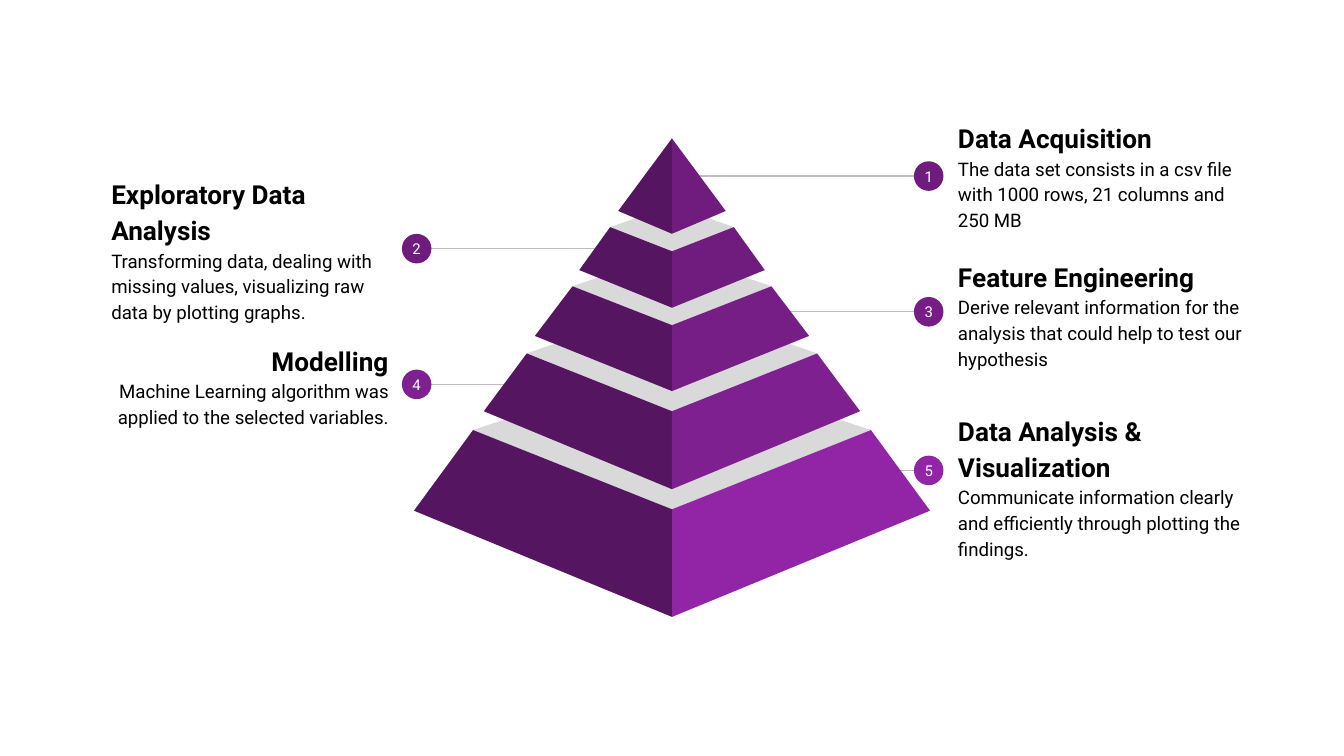
from pptx import Presentation
from pptx.dml.color import RGBColor
from pptx.enum.shapes import MSO_CONNECTOR, MSO_SHAPE
from pptx.enum.text import MSO_ANCHOR, PP_ALIGN
from pptx.oxml.ns import qn
from pptx.util import Inches, Pt
from lxml.etree import SubElement

FONT = "Roboto"
BLACK = RGBColor(0x00, 0x00, 0x00)
WHITE = RGBColor(0xFF, 0xFF, 0xFF)
LINE_GREY = RGBColor(0xBD, 0xBD, 0xBD)
CAP_GREY = RGBColor(0xD9, 0xD9, 0xD9)
DARK_PURPLE = RGBColor(0x55, 0x15, 0x61)
PURPLE_1 = RGBColor(0x70, 0x1C, 0x7F)
PURPLE_3 = RGBColor(0x76, 0x1E, 0x86)
PURPLE_4 = RGBColor(0x7F, 0x20, 0x90)
PURPLE_5 = RGBColor(0x92, 0x25, 0xA5)

CENTRE = 5.0
DOT_SIZE = 0.22
NUMBER_WIDTH, NUMBER_HEIGHT = 0.27, 0.34
TEXT_HEIGHT = 0.82
# dot centre, line end under the dot
LEFT_SIDE = (3.1, 3.04)
RIGHT_SIDE = (6.91, 6.98)

# number, title, description, colour, side, line y, line start, text left, top, width, alignment
STEPS = [
    ("1", "Data Acquisition",
     "The data set consists in a csv file with 1000 rows, 21 columns and 250 MB",
     PURPLE_1, RIGHT_SIDE, 1.31, 5.17, 7.03, 0.89, 2.33, PP_ALIGN.LEFT),
    ("2", "Exploratory Data Analysis",
     "Transforming data, dealing with missing values, visualizing raw data by plotting graphs.",
     PURPLE_1, LEFT_SIDE, 1.85, 4.45, 0.73, 1.44, 2.24, PP_ALIGN.LEFT),
    ("3", "Feature Engineering",
     "Derive relevant information for the analysis that could help to test our hypothesis",
     PURPLE_3, RIGHT_SIDE, 2.32, 5.76, 7.03, 1.92, 2.33, PP_ALIGN.LEFT),
    ("4", "Modelling",
     "Machine Learning algorithm was applied to the selected variables.",
     PURPLE_4, LEFT_SIDE, 2.86, 3.96, 0.66, 2.45, 2.33, PP_ALIGN.RIGHT),
    ("5", "Data Analysis & Visualization",
     "Communicate information clearly and efficiently through plotting the findings.",
     PURPLE_5, RIGHT_SIDE, 3.5, 6.32, 7.03, 3.2, 2.33, PP_ALIGN.LEFT),
]

# colour, cap back y, top half-width, top outer y, top centre y,
# bottom half-width, bottom outer y, bottom centre y
TIERS = [
    (PURPLE_1, 1.03, 0, 1.03, 1.03, 0.4, 1.57, 1.74),
    (PURPLE_1, 1.53, 0.46, 1.69, 1.87, 0.69, 2.01, 2.29),
    (PURPLE_3, 1.88, 0.74, 2.13, 2.42, 1.02, 2.5, 2.91),
    (PURPLE_4, 2.26, 1.08, 2.63, 3.06, 1.4, 3.06, 3.64),
    (PURPLE_5, 2.71, 1.48, 3.2, 3.79, 1.92, 3.8, 4.59),
]


def paint(shape, colour):
    shape.shadow.inherit = False
    shape.fill.solid()
    shape.fill.fore_color.rgb = colour
    shape.line.fill.background()


def add_polygon(page, points, colour):
    corners = [(Inches(x), Inches(y)) for x, y in points]
    builder = page.shapes.build_freeform(*corners[0])
    builder.add_line_segments(corners[1:], close=True)
    paint(builder.convert_to_shape(), colour)


def add_text(page, left, top, width, height, lines, align, inset, spacing=None, after=0):
    """Add a vertically centred text box; each line is (text, size, bold, colour)."""
    box = page.shapes.add_textbox(Inches(left), Inches(top), Inches(width), Inches(height))
    frame = box.text_frame
    frame.word_wrap = True
    frame.vertical_anchor = MSO_ANCHOR.MIDDLE
    frame.margin_left = frame.margin_right = Inches(inset)
    frame.margin_top = frame.margin_bottom = Inches(inset)
    frame.text = "\n".join(line[0] for line in lines)
    for para, (_, size, bold, colour) in zip(frame.paragraphs, lines):
        para.alignment = align
        para.line_spacing = spacing
        font = para.runs[0].font
        font.name, font.size, font.bold = FONT, Pt(size), bold
        font.color.rgb = colour
    frame.paragraphs[-1].space_after = Pt(after)


def add_step(page, step):
    number, title, description, colour, side, y, start, left, top, width, align = step
    dot_x, line_end = side

    line = page.shapes.add_connector(
        MSO_CONNECTOR.STRAIGHT, Inches(start), Inches(y), Inches(line_end), Inches(y))
    line.line.color.rgb = LINE_GREY
    line.line.width = Pt(0.75)
    SubElement(line._element.spPr, qn("a:effectLst"))

    dot = page.shapes.add_shape(
        MSO_SHAPE.OVAL, Inches(dot_x - DOT_SIZE / 2), Inches(y - DOT_SIZE / 2),
        Inches(DOT_SIZE), Inches(DOT_SIZE))
    paint(dot, colour)
    add_text(page, dot_x - NUMBER_WIDTH / 2, y - NUMBER_HEIGHT / 2,
             NUMBER_WIDTH, NUMBER_HEIGHT, [(number, 8, False, WHITE)],
             PP_ALIGN.CENTER, inset=0)
    add_text(page, left, top, width, TEXT_HEIGHT,
             [(title, 14, True, BLACK), (description, 10, False, BLACK)],
             align, inset=0.1, spacing=1.15, after=16)


def add_pyramid(page):
    for _, back, half, outer, front, *_ in TIERS[1:]:
        add_polygon(page, [(CENTRE - half, outer), (CENTRE, front),
                           (CENTRE + half, outer), (CENTRE, back)], CAP_GREY)
    for colour, _, half, outer, front, base_half, base_outer, base_front in TIERS:
        for sign, fill in ((-1, DARK_PURPLE), (1, colour)):
            face = [(CENTRE + sign * half, outer), (CENTRE, front),
                    (CENTRE, base_front), (CENTRE + sign * base_half, base_outer)]
            # The top tier narrows to a point, so its first two corners coincide
            add_polygon(page, face if half else face[1:], fill)


def main():
    deck = Presentation()
    deck.slide_width = Inches(10)
    deck.slide_height = deck.slide_width * 9 // 16
    page = deck.slides.add_slide(deck.slide_layouts[6])
    for step in STEPS:
        add_step(page, step)
    add_pyramid(page)
    deck.save("out.pptx")


if __name__ == "__main__":
    main()
